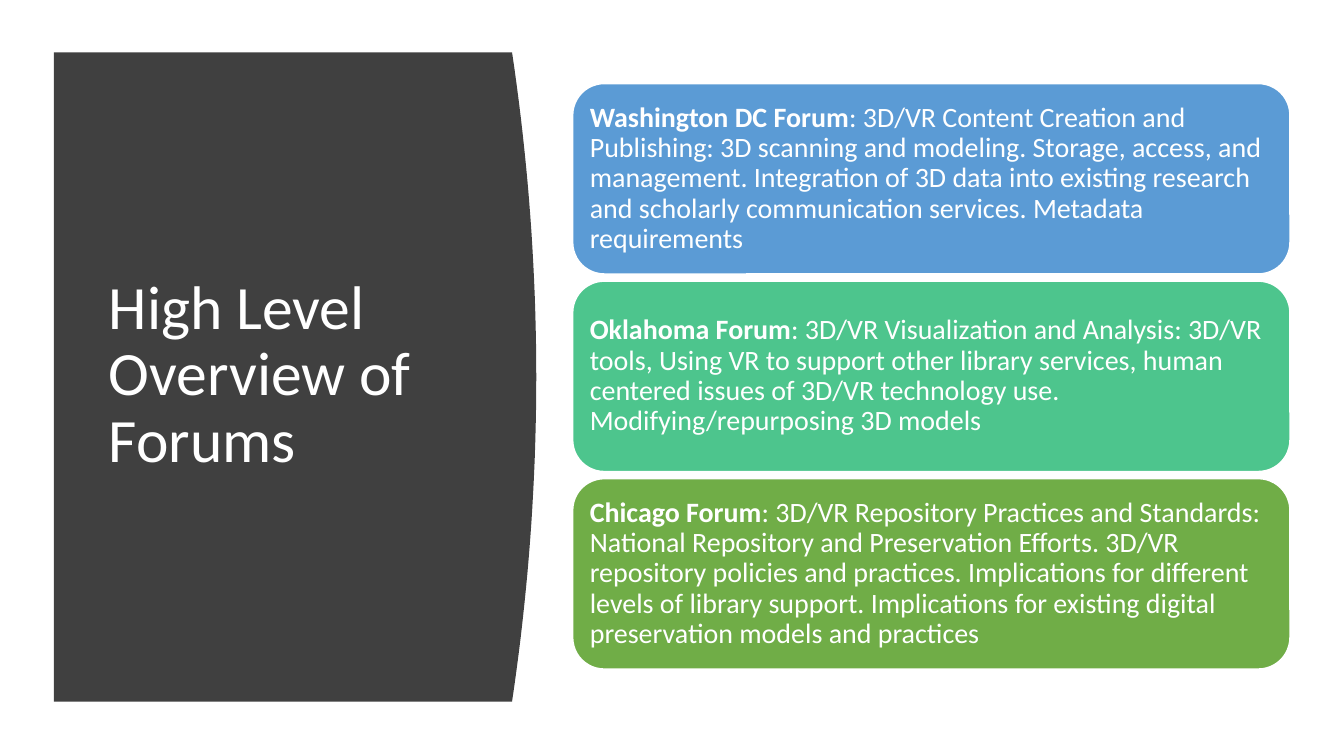
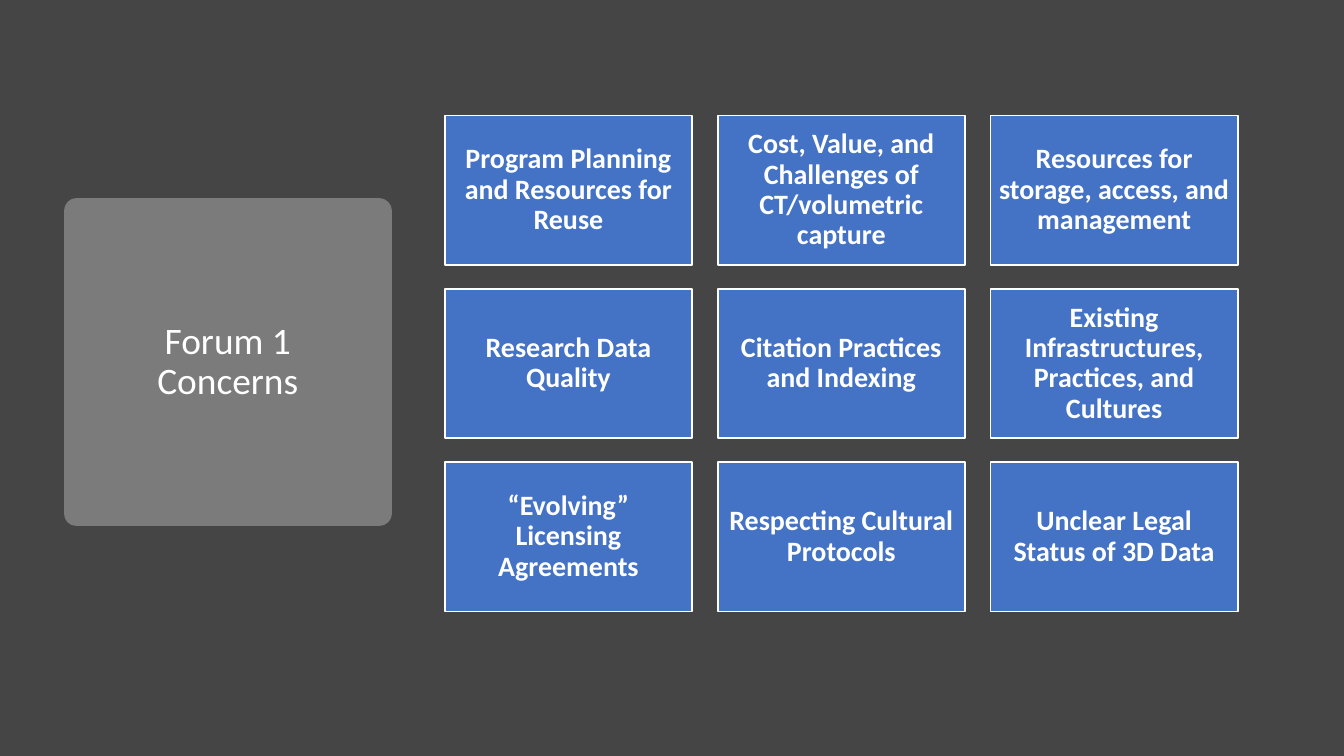
"""Build two slides: an overview of three forums and the concerns of the first."""
import pptx
import pptx.dml.color
import pptx.enum.shapes
import pptx.enum.text
import pptx.oxml
import pptx.util
from pptx.util import Inches

COLORS = {
    "white": "FFFFFF",
    "panel": "404040",
    "washington": "5B9BD5",
    "oklahoma": "4DC58D",
    "chicago": "70AD47",
    "dark": "454545",
    "badge": "7B7B7B",
    "concern": "4472C4",
}
ALIGN = pptx.enum.text.PP_ALIGN
SHAPE = pptx.enum.shapes.MSO_SHAPE


def rgb(name):
    return pptx.dml.color.RGBColor.from_string(COLORS[name])


def style(shape, size, align, inset, fill=None, line=None, line_width=1):
    if fill:
        shape.fill.solid()
        shape.fill.fore_color.rgb = rgb(fill)
    if line:
        shape.line.color.rgb = rgb(line)
        shape.line.width = pptx.util.Pt(line_width)
    frame = shape.text_frame
    frame.word_wrap = True
    frame.auto_size = pptx.enum.text.MSO_AUTO_SIZE.NONE
    frame.vertical_anchor = pptx.enum.text.MSO_ANCHOR.MIDDLE
    frame.margin_left = frame.margin_right = Inches(inset)
    frame.margin_top = frame.margin_bottom = Inches(inset)
    paragraph = frame.paragraphs[0]
    paragraph.alignment = align
    paragraph.line_spacing = 0.9
    paragraph.space_before = pptx.util.Pt(0)
    paragraph.font.name = "Calibri"
    paragraph.font.size = pptx.util.Pt(size)
    paragraph.font.color.rgb = rgb("white")
    return paragraph


deck = pptx.Presentation()
deck.slide_width = Inches(10)
deck.slide_height = Inches(5.625)
title_only = deck.slide_layouts[5]

overview = deck.slides.add_slide(title_only)
heading = overview.shapes.title
heading.left, heading.top = Inches(0.71), Inches(0.83)
heading.width, heading.height = Inches(2.8), Inches(3.93)
heading.text_frame.text = "High Level Overview of Forums"
style(heading, 33, ALIGN.LEFT, 0.1)

panel_left, panel_top, panel_bottom = 0.4, 0.39, 5.22
bulge_right, bulge_depth, steps = 3.99, 0.18, 40
curve = []
for step in range(steps + 1):
    offset = 2 * step / steps - 1
    y = panel_top + (panel_bottom - panel_top) * step / steps
    curve.append((Inches(bulge_right - bulge_depth * offset ** 2), Inches(y)))
outline = overview.shapes.build_freeform(Inches(panel_left), Inches(panel_top))
outline.add_line_segments(curve + [(Inches(panel_left), Inches(panel_bottom))])
panel = outline.convert_to_shape()
panel.shadow.inherit = False
panel.fill.solid()
panel.fill.fore_color.rgb = rgb("panel")
panel.line.fill.background()
heading.element.addprevious(panel.element)

forums = [
    ("washington", "Washington DC Forum",
     ": 3D/VR Content Creation and Publishing: 3D scanning and modeling. "
     "Storage, access, and management. Integration of 3D data into existing "
     "research and scholarly communication services. Metadata requirements"),
    ("oklahoma", "Oklahoma Forum",
     ": 3D/VR Visualization and Analysis: 3D/VR tools, Using VR to support "
     "other library services, human centered issues of 3D/VR technology use. "
     "Modifying/repurposing 3D models"),
    ("chicago", "Chicago Forum",
     ": 3D/VR Repository Practices and Standards: National Repository and "
     "Preservation Efforts. 3D/VR repository policies and practices. "
     "Implications for different levels of library support. Implications for "
     "existing digital preservation models and practices"),
]
for row, (color, forum, topics) in enumerate(forums):
    card = overview.shapes.add_shape(
        SHAPE.ROUNDED_RECTANGLE, Inches(4.26), Inches(0.62 + 1.47 * row),
        Inches(5.34), Inches(1.42))
    card.shadow.inherit = False
    text = style(card, 15, ALIGN.LEFT, 0.06, color, "white")
    name = text.add_run()
    name.text = forum
    name.font.bold = True
    text.add_run().text = topics

concerns_slide = deck.slides.add_slide(title_only)
concerns_slide.background.fill.solid()
concerns_slide.background.fill.fore_color.rgb = rgb("dark")
badge = concerns_slide.shapes.title
badge.left, badge.top = Inches(0.57), Inches(1.57)
badge.width = badge.height = Inches(2.25)
badge.text_frame.text = "Forum 1 Concerns"
style(badge, 20, ALIGN.CENTER, 0.15, "badge", "badge", 13.75)
badge_line = badge.element.spPr.find(pptx.oxml.ns.qn("a:ln"))
badge_line.append(pptx.oxml.parse_xml(
    '<a:round xmlns:a="http://schemas.openxmlformats.org/drawingml/2006/main"/>'))

concerns = [
    "Program Planning and Resources for Reuse",
    "Cost, Value, and Challenges of CT/volumetric capture",
    "Resources for storage, access, and management",
    "Research Data Quality",
    "Citation Practices and Indexing",
    "Existing Infrastructures, Practices, and Cultures",
    "“Evolving” Licensing Agreements",
    "Respecting Cultural Protocols",
    "Unclear Legal Status of 3D Data",
]
for index, concern in enumerate(concerns):
    row, column = divmod(index, 3)
    tile = concerns_slide.shapes.add_shape(
        SHAPE.RECTANGLE, Inches(3.31 + 2.03 * column),
        Inches(0.86 + 1.29 * row), Inches(1.84), Inches(1.11))
    tile.shadow.inherit = False
    tile.text_frame.text = concern
    style(tile, 15, ALIGN.CENTER, 0.06, "concern", "white").font.bold = True

deck.save("out.pptx")
